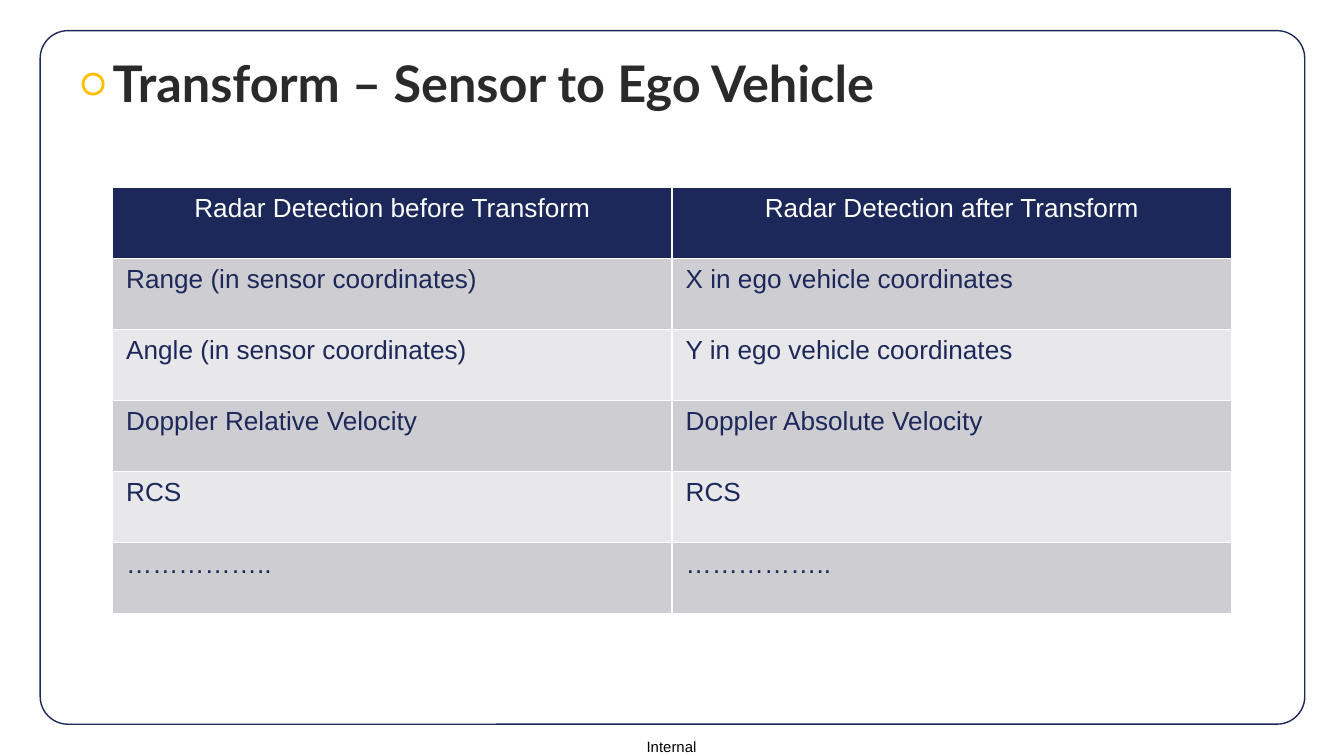
from pptx import Presentation
from pptx.dml.color import RGBColor
from pptx.enum.shapes import MSO_SHAPE
from pptx.enum.text import MSO_ANCHOR, PP_ALIGN
from pptx.util import Cm, Pt

ROUND, OVAL = MSO_SHAPE.ROUNDED_RECTANGLE, MSO_SHAPE.OVAL
MIDDLE, CENTER, LEFT = MSO_ANCHOR.MIDDLE, PP_ALIGN.CENTER, PP_ALIGN.LEFT
NAVY, WHITE = "1C285A", "FFFFFF"
BANDS = ["CDCDD2", "E8E8EA"]


def color(code):
    return RGBColor.from_string(code)


def style(para, name, size, code, bold=False):
    font = para.font
    font.name, font.size, font.bold = name, Pt(size), bold
    font.color.rgb = color(code)


deck = Presentation()
deck.slide_width, deck.slide_height = Cm(25.4), Cm(14.29)
slide = deck.slides.add_slide(deck.slide_layouts[6])
shapes = slide.shapes

# Footer and title
texts = [
    ("Internal", (12.22, 13.94, 1.02, 0.33), 0, "Arial", 8, "000000", False),
    ("Transform – Sensor to Ego Vehicle", (1.88, 0.71, 18.8, 1.7), 0.25,
     "Lato", 27, "2A2A2A", True),
]
for text, place, inset, name, size, code, bold in texts:
    frame = shapes.add_textbox(*map(Cm, place)).text_frame
    frame.margin_left = frame.margin_right = Cm(inset)
    frame.margin_top = frame.margin_bottom = Cm(inset)
    frame.word_wrap = bool(inset)
    frame.vertical_anchor = MIDDLE
    frame.text = text
    style(frame.paragraphs[0], name, size, code, bold)

# Slide frame and title ring
outlines = [
    (ROUND, (0.76, 0.58, 23.9, 13.11), NAVY, 0.75),
    (OVAL, (1.57, 1.4, 0.38, 0.38), "FFC000", 1.5),
]
for kind, place, code, width in outlines:
    shape = shapes.add_shape(kind, *map(Cm, place))
    shape.shadow.inherit = False
    shape.fill.background()
    shape.line.color.rgb = color(code)
    shape.line.width = Pt(width)
    if kind == ROUND:
        shape.adjustments[0] = 0.04

# Table of detections
rows = [
    ("Radar Detection before Transform", "Radar Detection after Transform"),
    ("Range (in sensor coordinates)", "X in ego vehicle coordinates"),
    ("Angle (in sensor coordinates)", "Y in ego vehicle coordinates"),
    ("Doppler Relative Velocity", "Doppler Absolute Velocity"),
    ("RCS", "RCS"),
    ("……………..", "…………….."),
]
table = shapes.add_table(len(rows), 2, Cm(2.13), Cm(3.54),
                         Cm(21.15), Cm(8.06)).table
for r, row in enumerate(rows):
    head = r == 0
    for c, text in enumerate(row):
        cell = table.cell(r, c)
        cell.fill.solid()
        cell.fill.fore_color.rgb = color(NAVY if head else BANDS[(r - 1) % 2])
        cell.text = text
        para = cell.text_frame.paragraphs[0]
        para.alignment = CENTER if head else LEFT
        style(para, "Arial", 14, WHITE if head else NAVY)

deck.save("out.pptx")
